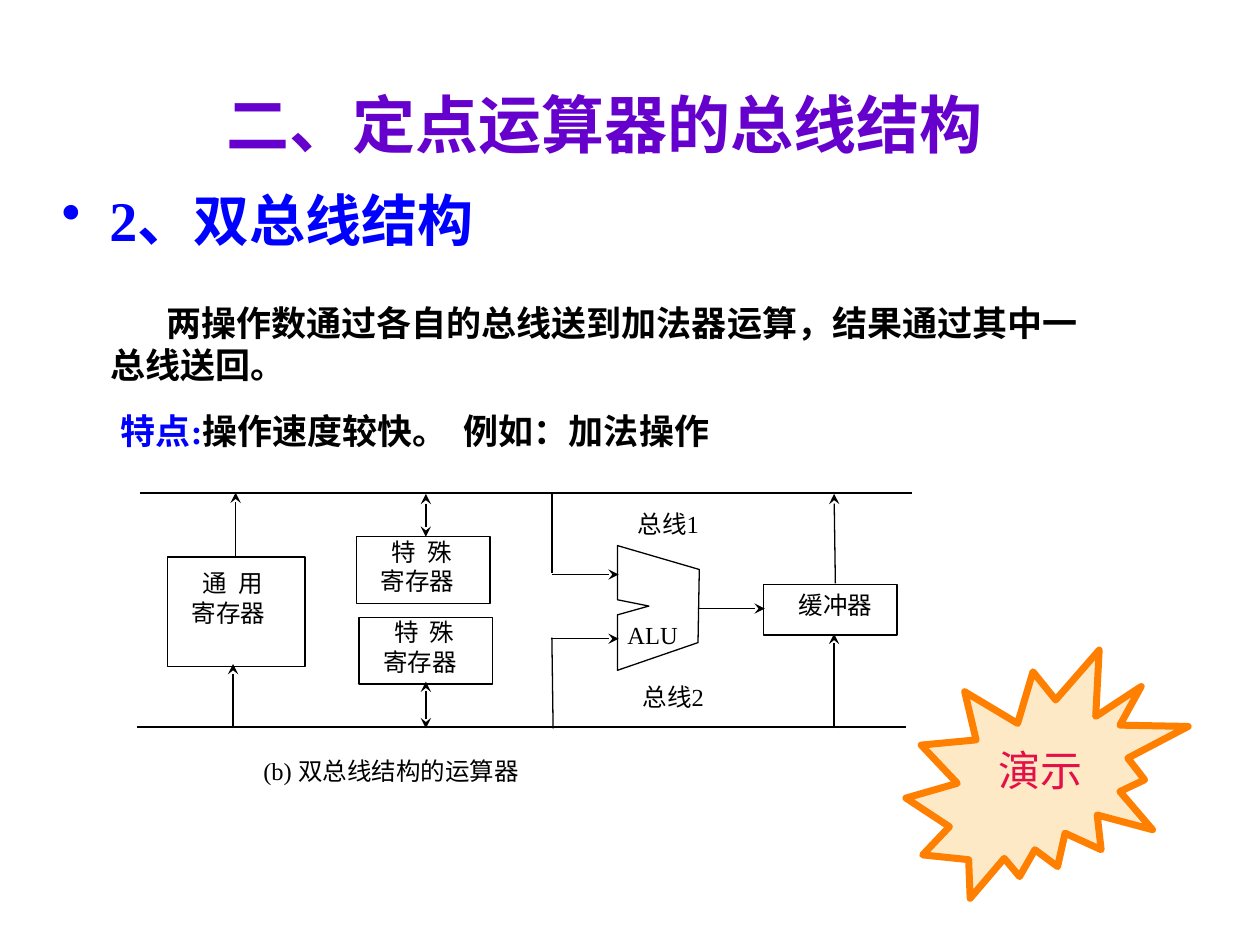
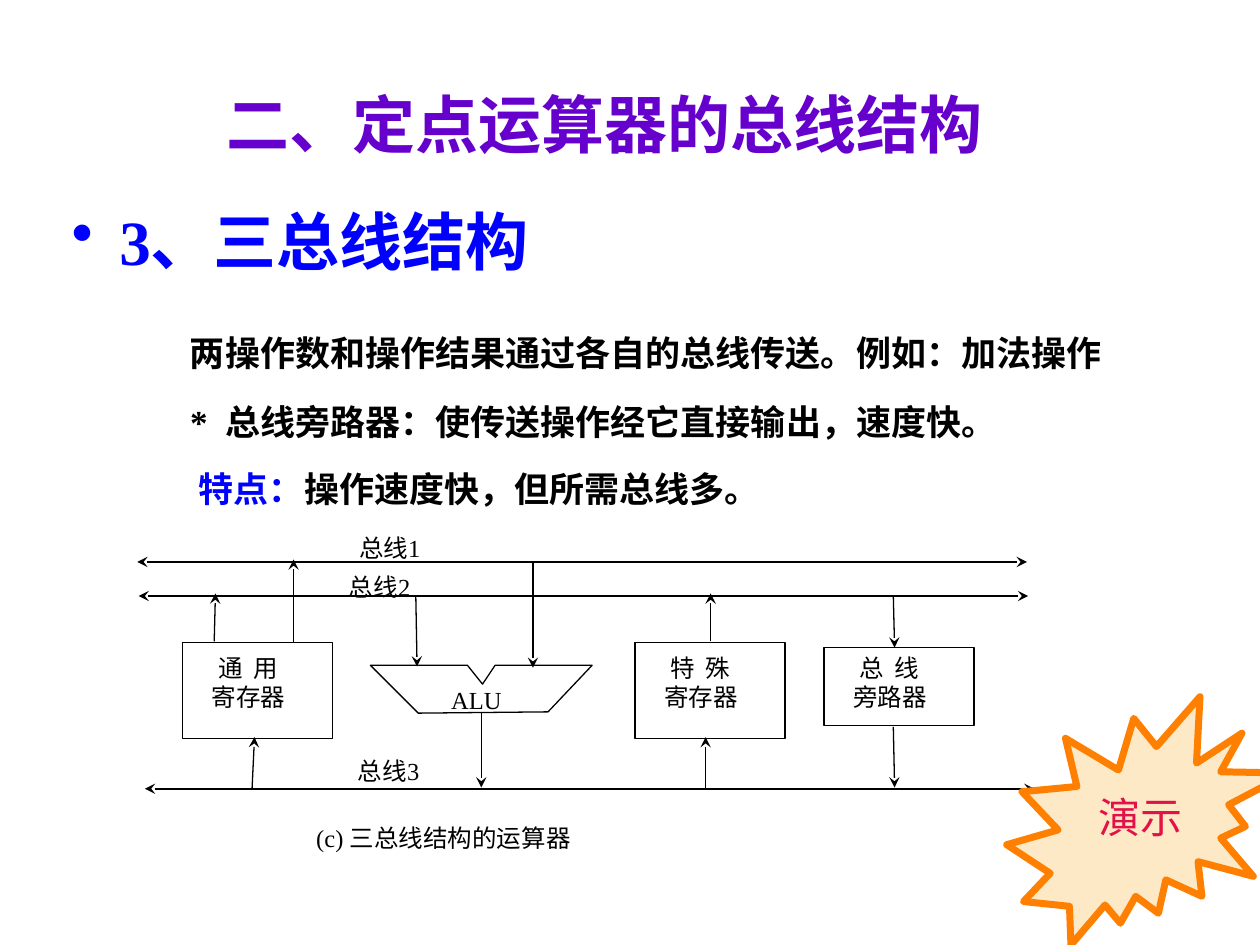
from dataclasses import dataclass

from lxml.etree import SubElement
from pptx import Presentation
from pptx.dml.color import RGBColor
from pptx.enum.shapes import MSO_CONNECTOR, MSO_SHAPE
from pptx.enum.text import MSO_ANCHOR, PP_ALIGN
from pptx.oxml.ns import qn
from pptx.util import Pt

PX = 9144
COLORS = {
    "ink": "000000",
    "paper": "FFFFFF",
    "title": "6600CC",
    "accent": "0000FF",
    "burst_fill": "FDE9C6",
    "burst_line": "FF7F00",
    "burst_text": "E41048",
}
SERIF = "Times New Roman"
BODY_SIZE = 20
LABEL_SIZE = 14
THIN = 0.75
BUS_WEIGHT = 1


@dataclass(frozen=True)
class Line:
    start: tuple[int, int]
    end: tuple[int, int]
    tail: bool = True
    head: bool = False
    weight: float = THIN


@dataclass(frozen=True)
class Label:
    text: str
    left: int
    top: int
    width: int


@dataclass(frozen=True)
class Block:
    rows: tuple[str, ...]
    left: int
    top: int
    width: int
    height: int
    inset: int
    indents: tuple[int, ...] = (24, 15)


@dataclass(frozen=True)
class Heading:
    text: str
    left: int
    top: int
    width: int
    height: int
    size: int
    line_spacing: float


@dataclass(frozen=True)
class Body:
    runs: tuple[tuple[str, str], ...]
    left: int
    top: int
    width: int
    height: int
    first_indent: int = 0


@dataclass(frozen=True)
class BusSlide:
    heading: Heading
    bodies: tuple[Body, ...]
    blocks: tuple[Block, ...]
    alu: tuple[tuple[int, int], ...]
    lines: tuple[Line, ...]
    labels: tuple[Label, ...]
    burst: tuple[int, int]


def rgb(name: str) -> RGBColor:
    return RGBColor.from_string(COLORS[name])


def paint(shape, fill: str | None, line: str, weight: float) -> None:
    shape.shadow.inherit = False
    if fill:
        shape.fill.solid()
        shape.fill.fore_color.rgb = rgb(fill)
    else:
        shape.fill.background()
    shape.line.color.rgb = rgb(line)
    shape.line.width = Pt(weight)


def write(shape, paragraphs, *, size: int, font: str = SERIF, bold: bool = False,
          align=PP_ALIGN.LEFT, insets: tuple[int, int] = (10, 5),
          margins: tuple[int, ...] = (0, 0), first_indent: int = 0,
          line_spacing: float = 1.0, bullet: str = "") -> None:
    frame = shape.text_frame
    frame.word_wrap = True
    frame.vertical_anchor = MSO_ANCHOR.TOP
    frame.margin_left = frame.margin_right = insets[0] * PX
    frame.margin_top = frame.margin_bottom = insets[1] * PX
    for index, runs in enumerate(paragraphs):
        paragraph = frame.add_paragraph() if index else frame.paragraphs[0]
        paragraph.alignment = align
        paragraph.line_spacing = line_spacing
        properties = paragraph._p.get_or_add_pPr()
        properties.set("marL", str(margins[index] * PX))
        properties.set("indent", str(first_indent * PX))
        if bullet:
            color = SubElement(properties, qn("a:buClr"))
            SubElement(color, qn("a:srgbClr")).set("val", COLORS["accent"])
            SubElement(properties, qn("a:buChar")).set("char", bullet)
        for text, color_name in runs:
            run = paragraph.add_run()
            run.text = text
            run.font.name = font
            run.font.size = Pt(size)
            run.font.bold = bold
            run.font.color.rgb = rgb(color_name)


def add_text(slide, left: int, top: int, width: int, height: int, runs, **formats) -> None:
    box = slide.shapes.add_textbox(left * PX, top * PX, width * PX, height * PX)
    write(box, [runs], **formats)


def add_block(slide, block: Block) -> None:
    shape = slide.shapes.add_shape(MSO_SHAPE.RECTANGLE, block.left * PX, block.top * PX,
                                   block.width * PX, block.height * PX)
    paint(shape, "paper", "ink", THIN)
    write(shape, [[(row, "ink")] for row in block.rows], size=LABEL_SIZE,
          insets=(4, block.inset), margins=block.indents)


def add_line(slide, line: Line) -> None:
    points = [value * PX for value in line.start + line.end]
    connector = slide.shapes.add_connector(MSO_CONNECTOR.STRAIGHT, *points)
    connector.line.color.rgb = rgb("ink")
    connector.line.width = Pt(line.weight)
    outline = connector.line._get_or_add_ln()
    for tag, shown in (("a:headEnd", line.head), ("a:tailEnd", line.tail)):
        if shown:
            SubElement(outline, qn(tag)).set("type", "stealth")
    SubElement(connector._element.spPr, qn("a:effectLst"))


def add_alu(slide, points: tuple[tuple[int, int], ...]) -> None:
    builder = slide.shapes.build_freeform(*points[0], scale=PX)
    builder.add_line_segments(points[1:], close=True)
    paint(builder.convert_to_shape(), "paper", "ink", THIN)


def add_burst(slide, left: int, top: int) -> None:
    shape = slide.shapes.add_shape(MSO_SHAPE.EXPLOSION2, left * PX, top * PX,
                                   224 * PX, 197 * PX)
    paint(shape, "burst_fill", "burst_line", 4)
    add_text(slide, left + 8, top + 70, 197, 50, [("演示", "burst_text")], size=24,
             font="DejaVu Sans", align=PP_ALIGN.CENTER)


def draw(slide, content: BusSlide) -> None:
    add_text(slide, 55, 63, 850, 72, [("二、定点运算器的总线结构", "title")], size=36,
             bold=True, align=PP_ALIGN.CENTER)
    heading = content.heading
    add_text(slide, heading.left, heading.top, heading.width, heading.height,
             [(heading.text, "accent")], size=heading.size, bold=True, margins=(38,),
             first_indent=-38, line_spacing=heading.line_spacing, bullet="•")
    for body in content.bodies:
        add_text(slide, body.left, body.top, body.width, body.height, body.runs,
                 size=BODY_SIZE, bold=True, first_indent=body.first_indent)
    for block in content.blocks:
        add_block(slide, block)
    add_alu(slide, content.alu)
    for line in content.lines:
        add_line(slide, line)
    for label in content.labels:
        add_text(slide, label.left, label.top, label.width, 20, [(label.text, "ink")],
                 size=LABEL_SIZE, insets=(0, 0))
    add_burst(slide, *content.burst)


def bus(left: int, right: int, y: int, arrows: bool) -> Line:
    return Line((left, y), (right, y), arrows, arrows, BUS_WEIGHT)


SPECIAL = ("特  殊", "寄存器")
GENERAL = ("通  用", "寄存器")
WIDE = (24, 19)

DOUBLE_BUS = BusSlide(
    heading=Heading("2、双总线结构", 39, 148, 934, 78, 32, 0.9),
    bodies=(
        Body((("两操作数通过各自的总线送到加法器运算，结果通过其中一总线送回。", "ink"),),
             78, 234, 792, 77, 44),
        Body((("特点:", "accent"), ("操作速度较快。  例如：加法操作", "ink")),
             86, 320, 733, 44),
    ),
    blocks=(
        Block(GENERAL, 133, 442, 109, 87, 9),
        Block(SPECIAL, 283, 426, 106, 53, 0),
        Block(SPECIAL, 285, 490, 106, 53, 0),
        Block(("缓冲器",), 606, 464, 106, 40, 4),
    ),
    alu=((555, 452), (554, 510), (490, 532), (490, 488), (515, 481), (490, 476), (490, 433)),
    lines=(
        bus(111, 724, 391, False),
        bus(109, 719, 577, False),
        Line((187, 441), (187, 391)),
        Line((185, 578), (185, 527)),
        Line((338, 392), (338, 426), head=True),
        Line((338, 541), (338, 578), head=True),
        Line((438, 392), (438, 455), tail=False),
        Line((438, 456), (491, 456)),
        Line((438, 506), (439, 578), tail=False),
        Line((438, 507), (491, 507)),
        Line((554, 483), (607, 483)),
        Line((663, 463), (662, 392)),
        Line((662, 578), (662, 503)),
    ),
    labels=(
        Label("ALU", 498, 492, 61),
        Label("总线1", 506, 404, 96),
        Label("总线2", 510, 541, 96),
        Label("(b) 双总线结构的运算器", 209, 600, 354),
    ),
    burst=(719, 516),
)

TRIPLE_BUS = BusSlide(
    heading=Heading("3、三总线结构", 47, 156, 884, 71, 36, 1.0),
    bodies=(
        Body((("两操作数和操作结果通过各自的总线传送。例如：加法操作", "ink"),),
             141, 258, 820, 44),
        Body((("*  总线旁路器：使传送操作经它直接输出，速度快。", "ink"),),
             141, 313, 859, 44),
        Body((("特点：", "accent"), ("操作速度快，但所需总线多。", "ink")),
             148, 366, 617, 44),
    ),
    blocks=(
        Block(GENERAL, 145, 510, 119, 76, 8, WIDE),
        Block(SPECIAL, 504, 510, 119, 76, 8, WIDE),
        Block(("总  线", "旁路器"), 654, 514, 119, 62, 4, WIDE),
    ),
    alu=((435, 565), (332, 566), (294, 528), (371, 528), (383, 543), (393, 528), (470, 528)),
    lines=(
        bus(109, 815, 446, True),
        bus(110, 816, 473, True),
        bus(115, 821, 626, True),
        Line((170, 509), (171, 471)),
        Line((200, 627), (202, 585)),
        Line((330, 473), (331, 529)),
        Line((423, 446), (423, 530)),
        Line((564, 509), (564, 471)),
        Line((560, 626), (560, 585)),
        Line((233, 510), (233, 444)),
        Line((709, 473), (710, 514)),
        Line((382, 566), (382, 625)),
        Line((709, 577), (710, 625)),
    ),
    labels=(
        Label("ALU", 358, 544, 71),
        Label("总线1", 285, 423, 106),
        Label("总线2", 277, 454, 106),
        Label("总线3", 284, 600, 82),
        Label("(c) 三总线结构的运算器", 251, 653, 388),
    ),
    burst=(799, 553),
)


def main() -> None:
    presentation = Presentation()
    presentation.slide_width = 1000 * PX
    presentation.slide_height = 750 * PX
    for content in (DOUBLE_BUS, TRIPLE_BUS):
        draw(presentation.slides.add_slide(presentation.slide_layouts[6]), content)
    presentation.save("out.pptx")


if __name__ == "__main__":
    main()
